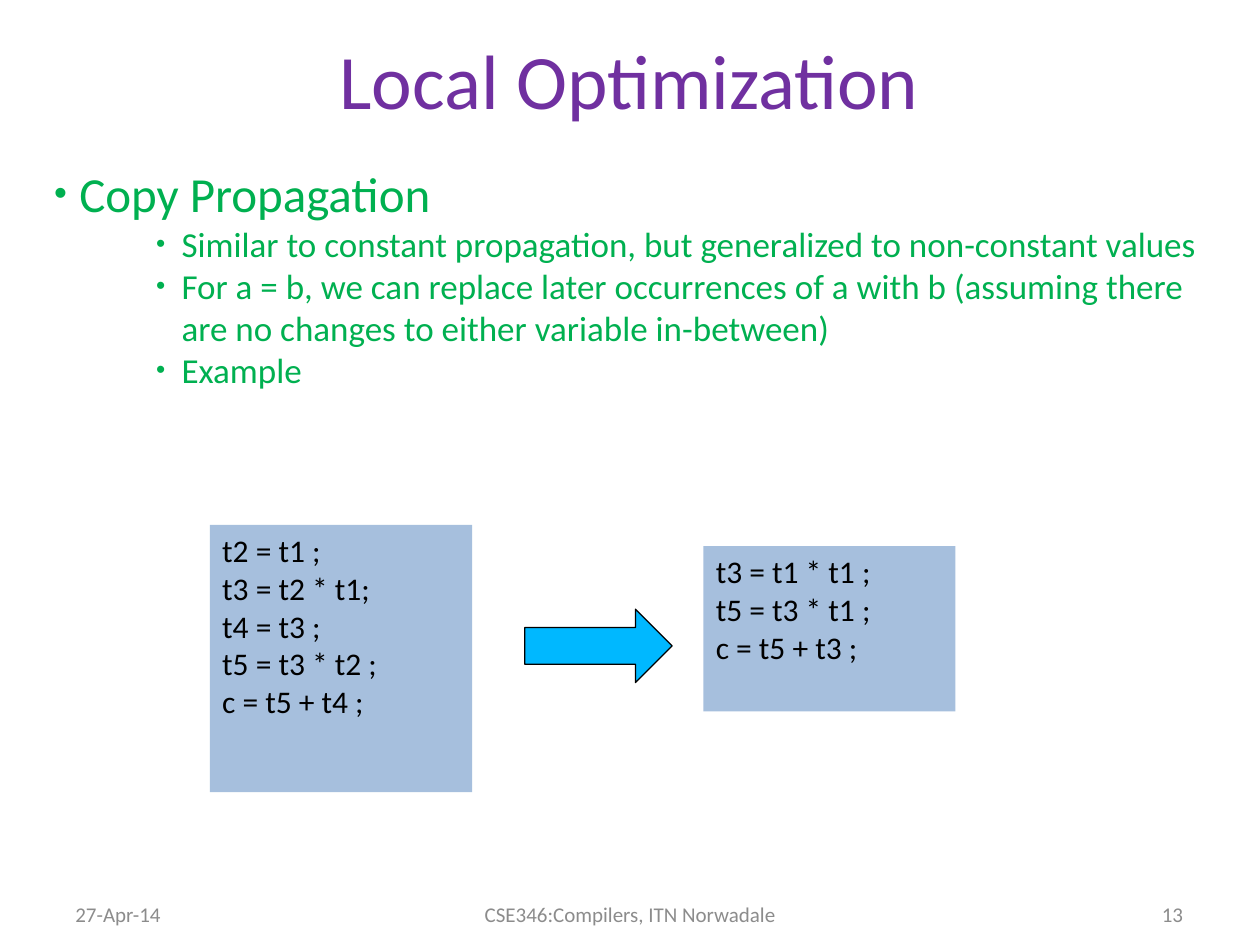
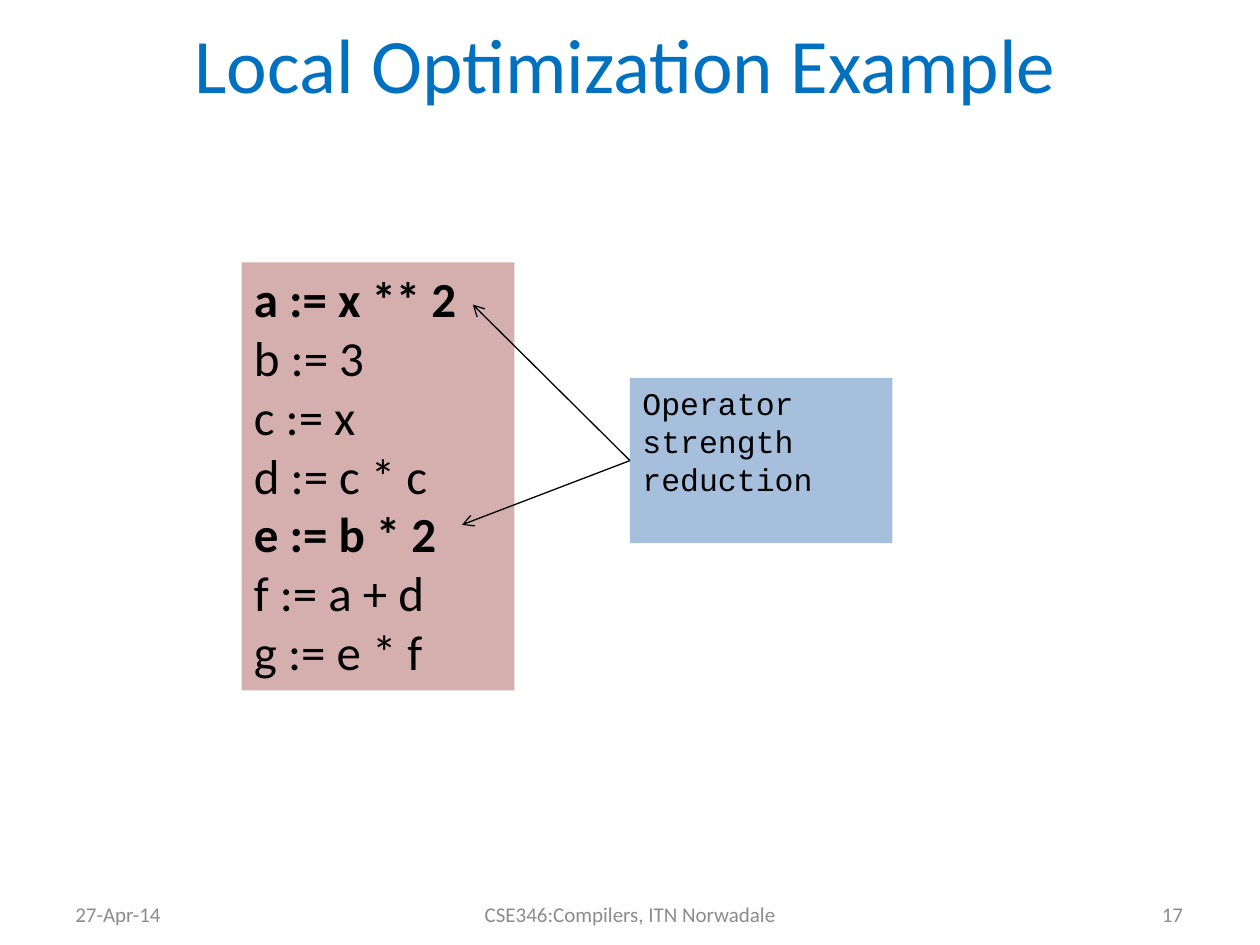
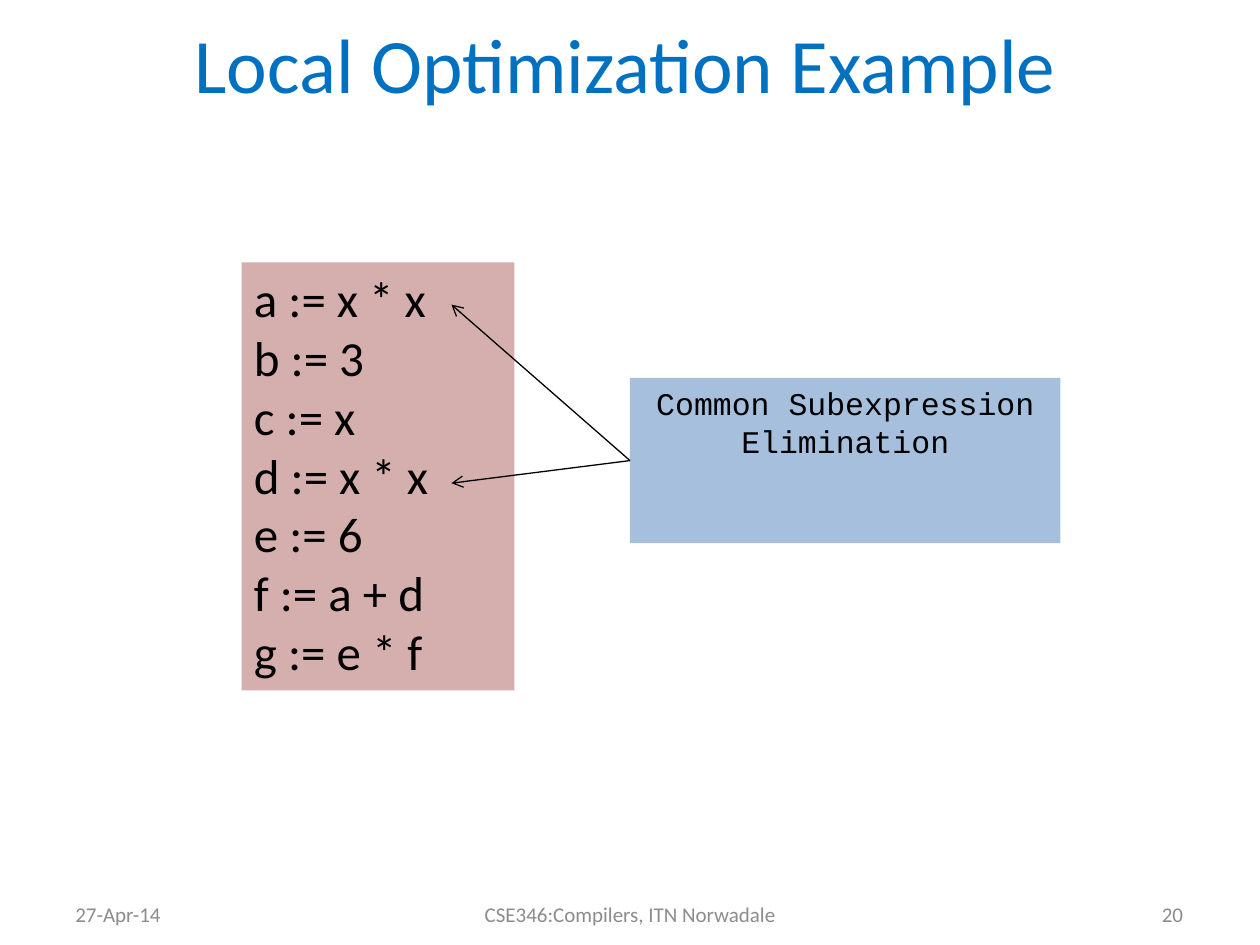
from dataclasses import dataclass

from lxml import etree
from pptx import Presentation
from pptx import util as u
from pptx.dml import color
from pptx.enum import shapes, text
from pptx.oxml import ns


@dataclass(frozen=True)
class Theme:
    font: str = "Calibri"
    code_font: str = "Courier New"
    purple: str = "7030A0"
    blue: str = "0070C0"
    green: str = "00B050"
    grey: str = "8C8C8C"
    black: str = "000000"
    arrow: str = "00B8FF"
    note: tuple = ("4F81BD", 50)
    code: tuple = ("953735", 40)
    title_size: int = 44
    large_size: int = 28
    medium_size: int = 20
    code_size: int = 18
    footer_size: int = 12
    line_width: float = 0.75


def cm(values):
    return [u.Cm(value) for value in values]


def rgb(value):
    return color.RGBColor.from_string(value)


def add_child(parent, tag, **values):
    return etree.SubElement(parent, ns.qn(tag), values)


class SlideBuilder:
    DATE = "27-Apr-14"
    COURSE = "CSE346:Compilers, ITN Norwadale"

    def __init__(self, theme):
        self.theme = theme
        self.deck = Presentation()
        self.deck.slide_width, self.deck.slide_height = cm((25.4, 19.05))
        self.page = None

    def start_page(self, title, title_color, title_area, number):
        self.page = self.deck.slides.add_slide(self.deck.slide_layouts[6])
        self.label(title, title_area, self.theme.title_size, title_color, text.PP_ALIGN.CENTER)
        footers = (
            (self.DATE, 1.27, 5.89, text.PP_ALIGN.LEFT),
            (number, 18.21, 5.89, text.PP_ALIGN.RIGHT),
            (self.COURSE, 8.69, 8.03, text.PP_ALIGN.CENTER),
        )
        for words, left, width, align in footers:
            area = (left, 18.01, width, 0.84)
            self.label(words, area, self.theme.footer_size, self.theme.grey, align)

    def fill_text(self, shape, lines, size, ink, font=None, align=text.PP_ALIGN.LEFT,
                  anchor=text.MSO_ANCHOR.TOP, bold_lines=()):
        frame = shape.text_frame
        frame_format = {"word_wrap": True, "auto_size": text.MSO_AUTO_SIZE.NONE,
                        "vertical_anchor": anchor}
        for name, value in frame_format.items():
            setattr(frame, name, value)
        for index, line in enumerate(lines):
            para = frame.add_paragraph() if index else frame.paragraphs[0]
            para.alignment = align
            span = para.add_run()
            span.text = line
            span_format = {"name": font or self.theme.font, "size": u.Pt(size),
                           "bold": index in bold_lines}
            for name, value in span_format.items():
                setattr(span.font, name, value)
            span.font.color.rgb = rgb(ink)
        return frame

    def label(self, words, area, size, ink, align):
        box = self.page.shapes.add_textbox(*cm(area))
        self.fill_text(box, [words], size, ink, align=align, anchor=text.MSO_ANCHOR.MIDDLE)

    def bullets(self, heading, items, area):
        box = self.page.shapes.add_textbox(*cm(area))
        frame = self.fill_text(box, [heading, *items], self.theme.medium_size, self.theme.green)
        frame.paragraphs[0].runs[0].font.size = u.Pt(self.theme.large_size)
        for index, para in enumerate(frame.paragraphs):
            para.level = min(index, 1)
            properties = para._p.get_or_add_pPr()
            properties.set("marL", str(u.Cm(2.57 if index else 0.51)))
            properties.set("indent", str(-u.Cm(0.51)))
            bullet_color = add_child(properties, "a:buClr")
            add_child(bullet_color, "a:srgbClr", val=self.theme.green)
            add_child(properties, "a:buSzPct", val="75000")
            add_child(properties, "a:buFont", typeface="Arial")
            add_child(properties, "a:buChar", char="•")

    def shape(self, kind, area, fill):
        shape = self.page.shapes.add_shape(kind, *cm(area))
        shape.shadow.inherit = False
        shape.fill.solid()
        shape.fill.fore_color.rgb = rgb(fill)
        return shape

    def panel(self, lines, area, tint, size, **text_format):
        fill, opacity = tint
        box = self.shape(shapes.MSO_SHAPE.RECTANGLE, area, fill)
        box.line.fill.background()
        fill_color = box._element.spPr.find(f".//{ns.qn('a:srgbClr')}")
        add_child(fill_color, "a:alpha", val=str(opacity * 1000))
        self.fill_text(box, lines, size, self.theme.black, **text_format)
        return box

    def outline(self, line):
        line.color.rgb = rgb(self.theme.black)
        line.width = u.Pt(self.theme.line_width)

    def block_arrow(self, area):
        arrow = self.shape(shapes.MSO_SHAPE.RIGHT_ARROW, area, self.theme.arrow)
        self.outline(arrow.line)

    def pointer(self, box, target):
        line = self.page.shapes.add_connector(
            shapes.MSO_CONNECTOR.STRAIGHT, box.left, box.top + box.height // 2, *cm(target))
        line.begin_connect(box, 1)
        self.outline(line.line)
        properties = line._element.spPr
        add_child(properties.find(ns.qn("a:ln")), "a:tailEnd", type="arrow")
        add_child(properties, "a:effectLst")

    def example_page(self, number, code, note, note_width, targets, align, bold_lines=()):
        theme = self.theme
        self.start_page("Local Optimization Example", theme.blue, (0.64, 0, 23.93, 2.54), number)
        note_box = self.panel([note], (12.7, 7.62, note_width, 3.33), theme.note,
                              theme.code_size, font=theme.code_font, align=align)
        self.panel(code, (4.87, 5.29, 5.5, 8.63), theme.code, theme.large_size,
                   bold_lines=bold_lines)
        for target in targets:
            self.pointer(note_box, target)


def main():
    theme = Theme()
    builder = SlideBuilder(theme)

    builder.start_page("Local Optimization", theme.purple, (1.27, 0, 22.83, 3.18), "13")
    builder.bullets("Copy Propagation", [
        "Similar to constant propagation, but generalized to non-constant values",
        "For a = b, we can replace later occurrences of a with b "
        "(assuming there are no changes to either variable in-between)",
        "Example",
    ], (0.84, 3.18, 23.93, 14.4))
    before = ["t2 = t1 ;", "t3 = t2 * t1;", "t4 = t3 ;", "t5 = t3 * t2 ;", "c = t5 + t4 ;"]
    after = ["t3 = t1 * t1 ;", "t5 = t3 * t1 ;", "c = t5 + t3 ;"]
    builder.panel(before, (4.23, 10.58, 5.29, 5.39), theme.note, theme.code_size)
    builder.panel(after, (14.18, 11.01, 5.08, 3.33), theme.note, theme.code_size)
    builder.block_arrow((10.58, 12.28, 2.97, 1.48))

    shared_start = ["b := 3", "c := x"]
    shared_end = ["f := a + d", "g := e * f"]
    builder.example_page(
        "17", ["a := x ** 2", *shared_start, "d := c * c", "e := b * 2", *shared_end],
        "Operator strength reduction", 5.29, [(9.53, 6.14), (9.31, 10.58)],
        text.PP_ALIGN.LEFT, bold_lines=(0, 4))
    builder.example_page(
        "20", ["a := x * x", *shared_start, "d := x * x", "e := 6", *shared_end],
        "Common Subexpression Elimination", 8.68, [(9.1, 6.14), (9.1, 9.74)],
        text.PP_ALIGN.CENTER)

    builder.deck.save("out.pptx")


if __name__ == "__main__":
    main()
